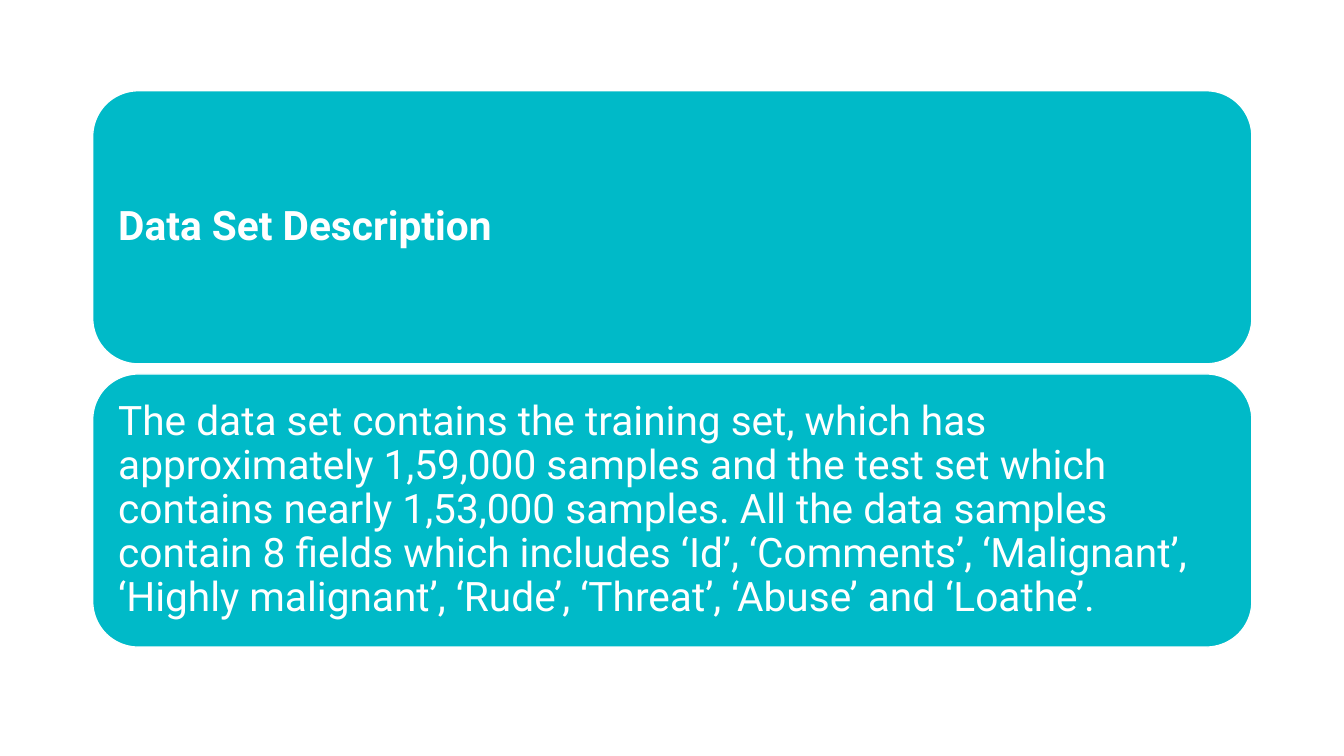
"""Build the data set description slide: two stacked rounded panels."""
from pptx import Presentation
from pptx.dml.color import RGBColor
from pptx.enum.shapes import MSO_SHAPE as SHAPE
from pptx.enum.text import MSO_ANCHOR as ANCHOR, PP_ALIGN as ALIGN
from pptx.util import Pt

TEAL = RGBColor(0x00, 0xBA, 0xC8)
WHITE = RGBColor(0xFF, 0xFF, 0xFF)

LEFT, TOP = 66.24, 64.8
WIDTH, HEIGHT = 828, 195.12
GAP = 7.2
INSET = 8.7


def add_text(sp, text, size=29, bold=False, color=WHITE, font="Roboto"):
    tf = sp.text_frame
    tf.word_wrap = True
    tf.vertical_anchor = ANCHOR.MIDDLE
    tf.margin_left = tf.margin_right = Pt(INSET)
    tf.margin_top = tf.margin_bottom = Pt(INSET)
    p = tf.paragraphs[0]
    p.alignment = ALIGN.LEFT
    p.line_spacing = 0.9
    r = p.add_run()
    r.text = text
    r.font.name = font
    r.font.size = Pt(size)
    r.font.bold = bold
    r.font.color.rgb = color


prs = Presentation()
prs.slide_width, prs.slide_height = Pt(960), Pt(540)
s = prs.slides.add_slide(prs.slide_layouts[6])

panels = [
    ("Data Set Description", True),
    ("The data set contains the training set, which has approximately "
     "1,59,000 samples and the test set which contains nearly 1,53,000 "
     "samples. All the data samples contain 8 fields which includes ‘Id’, "
     "‘Comments’, ‘Malignant’, ‘Highly malignant’, ‘Rude’, ‘Threat’, "
     "‘Abuse’ and ‘Loathe’.", False),
]

for i, (text, bold) in enumerate(panels):
    top = TOP + i * (HEIGHT + GAP)
    sp = s.shapes.add_shape(SHAPE.ROUNDED_RECTANGLE, Pt(LEFT), Pt(top),
                            Pt(WIDTH), Pt(HEIGHT))
    sp.shadow.inherit = False
    sp.fill.solid()
    sp.fill.fore_color.rgb = TEAL
    sp.line.color.rgb = WHITE
    sp.line.width = Pt(1)
    add_text(sp, text, bold=bold)

prs.save("out.pptx")
